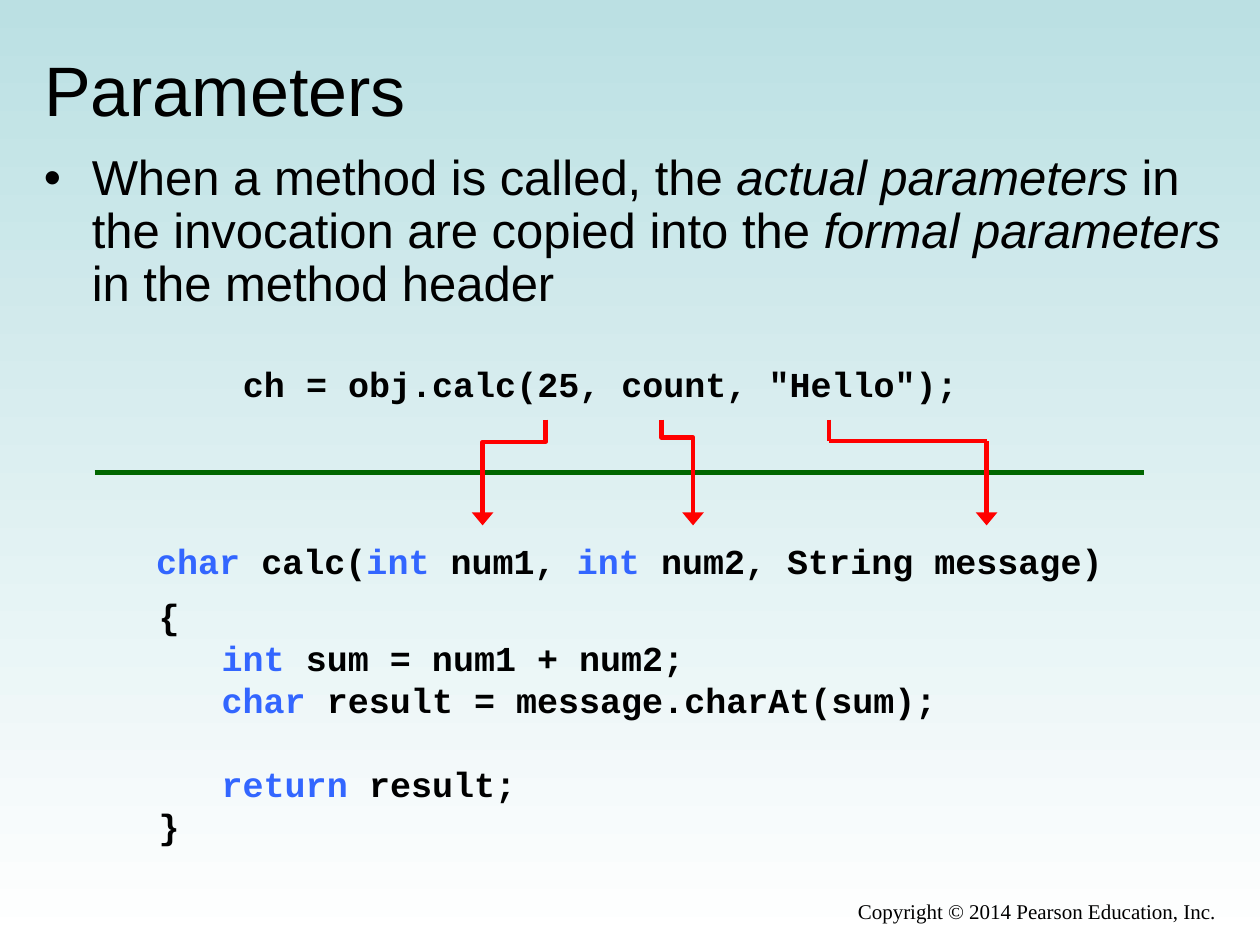
from lxml import etree
from pptx import Presentation
from pptx.dml.color import RGBColor
from pptx.enum import shapes, text
from pptx.oxml import ns
from pptx.util import Inches, Pt

COLORS = {
    "sky": "BBE0E3",
    "white": "FFFFFF",
    "ink": "000000",
    "keyword": "3366FF",
    "divider": "006600",
    "arrow": "FF0000",
}
CODE_LINE = Pt(23.8)


def rgb(name):
    return RGBColor.from_string(COLORS[name])


def set_font(paragraph, name, size, bold=False):
    font = paragraph.font
    font.name, font.size, font.bold = name, Pt(size), bold
    font.color.rgb = rgb("ink")


def add_marked_runs(paragraph, marked, emphasize):
    """Add runs, calling emphasize on the font of each piece between backticks."""
    for index, piece in enumerate(marked.split("`")):
        if piece:
            run = paragraph.add_run()
            run.text = piece
            if index % 2:
                emphasize(run.font)


def color_keyword(font):
    font.color.rgb = rgb("keyword")


def italicize(font):
    font.italic = True


def paint_background(slide):
    fill = slide.background.fill
    fill.gradient()
    fill.gradient_angle = 270
    for stop, position, color in zip(fill.gradient_stops, (0, 1), ("sky", "white")):
        stop.position = position
        stop.color.rgb = rgb(color)


def set_title(slide, left, top, width, height):
    title = slide.shapes.title
    title.left, title.top, title.width, title.height = left, top, width, height
    frame = title.text_frame
    frame.text = "Parameters"
    frame.vertical_anchor = text.MSO_ANCHOR.MIDDLE
    heading = frame.paragraphs[0]
    heading.alignment = text.PP_ALIGN.LEFT
    set_font(heading, "Arial", 40)


def add_explanation(slide, left, top, width, height):
    frame = slide.shapes.add_textbox(left, top, width, height).text_frame
    frame.word_wrap = True
    point = frame.paragraphs[0]
    point.line_spacing = 0.9
    properties = point._p.get_or_add_pPr()
    properties.set("marL", str(Inches(0.38)))
    properties.set("indent", str(Inches(-0.38)))
    etree.SubElement(properties, ns.qn("a:buFont"), typeface="Arial")
    etree.SubElement(properties, ns.qn("a:buChar"), char="•")
    set_font(point, "Arial", 28)
    add_marked_runs(
        point,
        "When a method is called, the `actual parameters` in the invocation "
        "are copied into the `formal parameters` in the method header",
        italicize,
    )


def add_code(slide, left, top, width, height, blocks):
    """Write blocks of code lines, with one empty line's height between blocks."""
    frame = slide.shapes.add_textbox(left, top, width, height).text_frame
    frame.word_wrap = False
    frame.auto_size = text.MSO_AUTO_SIZE.SHAPE_TO_FIT_TEXT
    for block_index, block in enumerate(blocks):
        for line_index, code in enumerate(block):
            first = block_index == line_index == 0
            line = frame.paragraphs[0] if first else frame.add_paragraph()
            if block_index and line_index == 0:
                line.space_before = CODE_LINE
            set_font(line, "Courier New", 20, bold=True)
            add_marked_runs(line, code, color_keyword)


def add_line(slide, kind, begin_x, begin_y, end_x, end_y, color):
    line = slide.shapes.add_connector(kind, begin_x, begin_y, end_x, end_y)
    line.line.color.rgb = rgb(color)
    line.line.width = Pt(2.5)
    etree.SubElement(line._element.spPr, ns.qn("a:effectLst"))
    return line


def add_arrowhead(line):
    etree.SubElement(line.line._get_or_add_ln(), ns.qn("a:tailEnd"),
                     type="triangle", w="lg", len="med")


def add_bent_arrow(slide, start_x, end_x, top, bottom, bend):
    """Draw a down-across-down arrow; bend is the share of the drop before turning."""
    center_x, center_y = (start_x + end_x) // 2, (top + bottom) // 2
    half_drop, half_shift = (bottom - top) // 2, abs(end_x - start_x) // 2
    goes_right = end_x > start_x
    side = 1 if goes_right else -1
    arrow = add_line(
        slide, shapes.MSO_CONNECTOR.ELBOW,
        center_x + side * half_drop, center_y - half_shift,
        center_x - side * half_drop, center_y + half_shift, "arrow",
    )
    properties = arrow._element.spPr
    properties.find(ns.qn("a:xfrm")).set("rot", str((270 if goes_right else 90) * 60000))
    adjustments = properties.find(ns.qn("a:prstGeom")).get_or_add_avLst()
    etree.SubElement(adjustments, ns.qn("a:gd"), name="adj1", fmla=f"val {round(bend * 100000)}")
    add_arrowhead(arrow)


def add_stepped_arrow(slide, start_x, end_x, top, turn, bottom):
    """Draw a down-across-down arrow from three straight lines."""
    for ends in ((start_x, top, start_x, turn), (end_x, turn, start_x, turn),
                 (end_x, turn, end_x, bottom)):
        segment = add_line(slide, shapes.MSO_CONNECTOR.STRAIGHT, *ends, "arrow")
    add_arrowhead(segment)


def add_copyright(slide, left, top, width, height):
    frame = slide.shapes.add_textbox(left, top, width, height).text_frame
    frame.word_wrap = True
    frame.text = "Copyright © 2014 Pearson Education, Inc."
    notice = frame.paragraphs[0]
    notice.alignment = text.PP_ALIGN.RIGHT
    set_font(notice, "Times New Roman", 12)


def add_method_call(slide, left, top):
    """Place the call above the divider, the method below, and the arrows between."""
    add_code(slide, left + Inches(1.08), top, Inches(5.88), Inches(0.44),
             [['ch = obj.calc(25, count, "Hello");']])
    divider_y = top + Inches(0.92)
    add_line(slide, shapes.MSO_CONNECTOR.STRAIGHT, left, divider_y,
             left + Inches(8.33), divider_y, "divider")
    arrow_top, arrow_bottom = top + Inches(0.5), top + Inches(1.34)
    for start, end, bend in ((3.58, 3.08, 0.21), (4.5, 4.75, 0.17)):
        add_bent_arrow(slide, left + Inches(start), left + Inches(end),
                       arrow_top, arrow_bottom, bend)
    add_stepped_arrow(slide, left + Inches(5.83), left + Inches(7.08),
                      arrow_top, top + Inches(0.67), arrow_bottom)
    add_code(slide, left + Inches(0.39), top + Inches(1.4), Inches(7.75), Inches(0.44),
             [["`char `calc(`int `num1, `int `num2, String message)"]])
    add_code(slide, left + Inches(0.41), top + Inches(1.84), Inches(6.38), Inches(2.1), [
        ["{", "   `int `sum = num1 + num2;", "   `char `result = message.charAt(sum);"],
        ["   `return `result;", "}"],
    ])


def main():
    deck = Presentation()
    deck.slide_width, deck.slide_height = Inches(10), Inches(7.5)
    slide = deck.slides.add_slide(deck.slide_layouts[5])
    paint_background(slide)
    set_title(slide, Inches(0.25), Inches(0.31), Inches(9.5), Inches(0.78))
    add_explanation(slide, Inches(0.25), Inches(1.17), Inches(9.58), Inches(1.5))
    add_method_call(slide, Inches(0.75), Inches(2.83))
    add_copyright(slide, Inches(3.67), Inches(7.08), Inches(6.08), Inches(0.34))
    deck.save("out.pptx")


if __name__ == "__main__":
    main()
